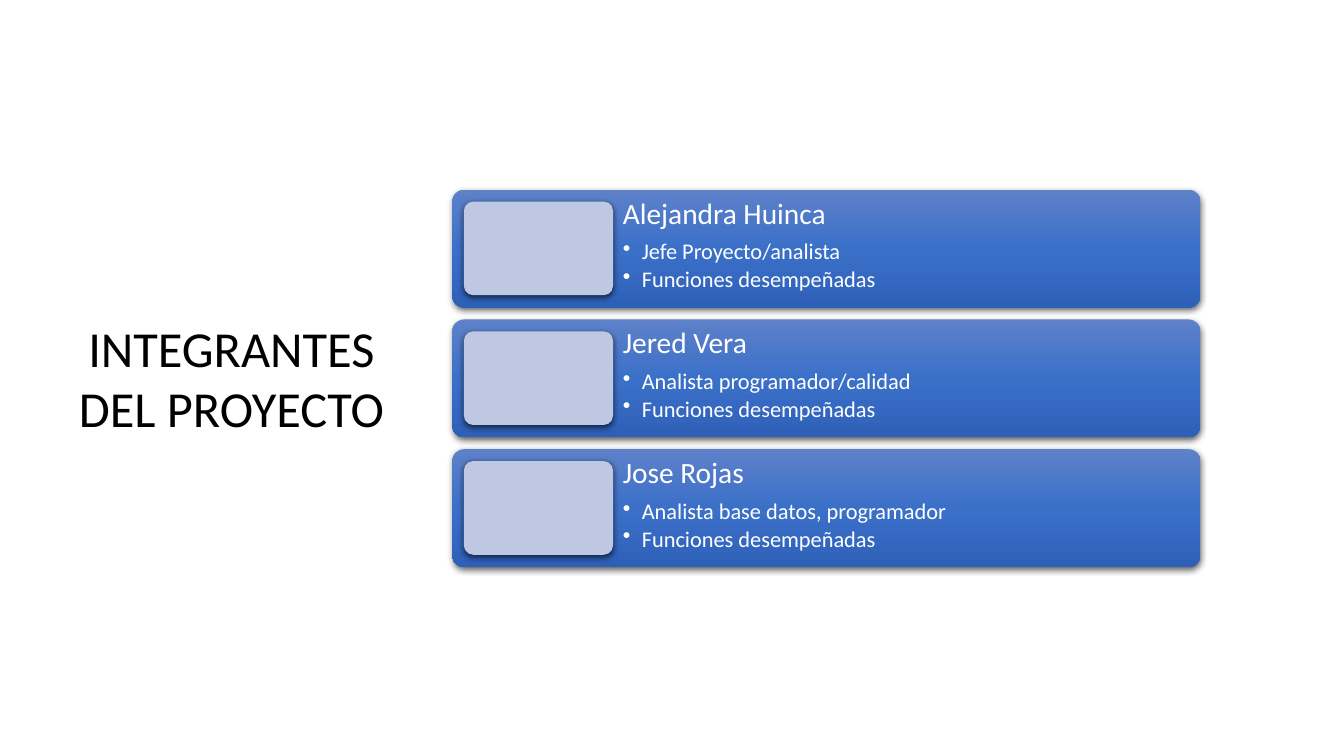
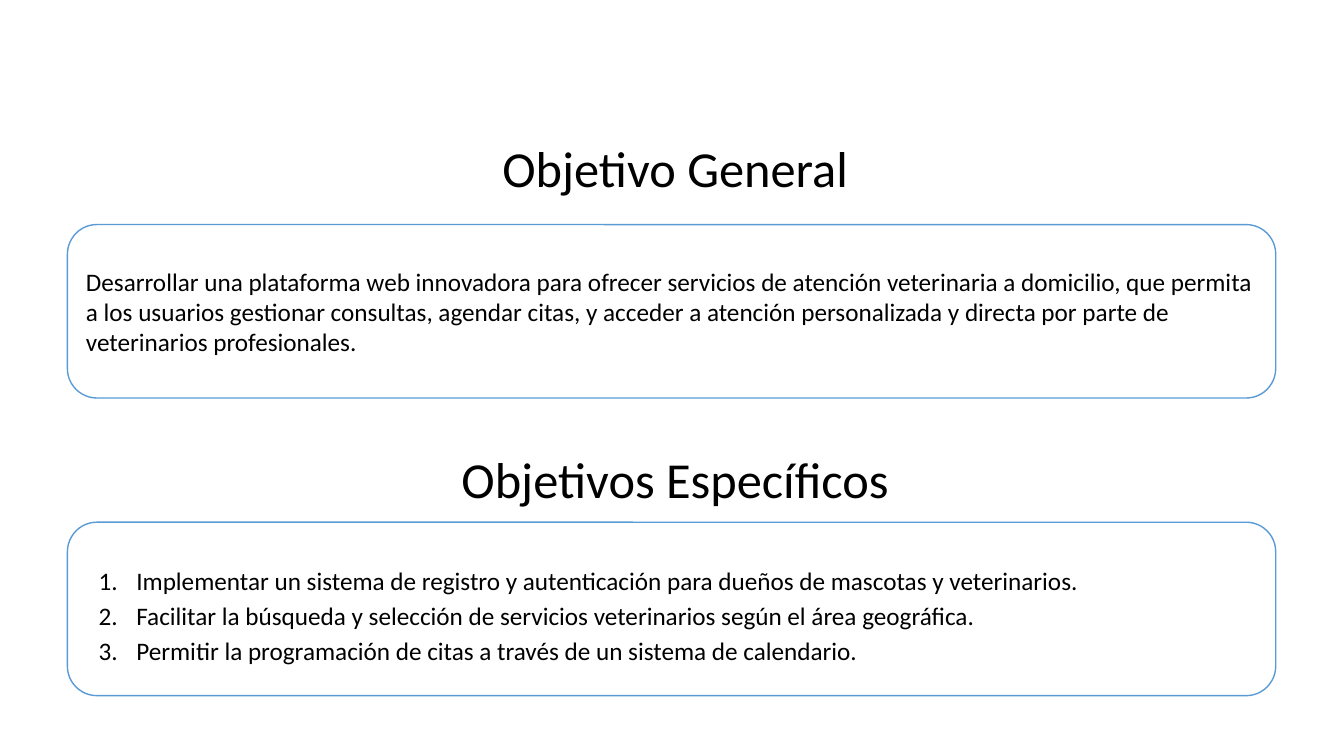
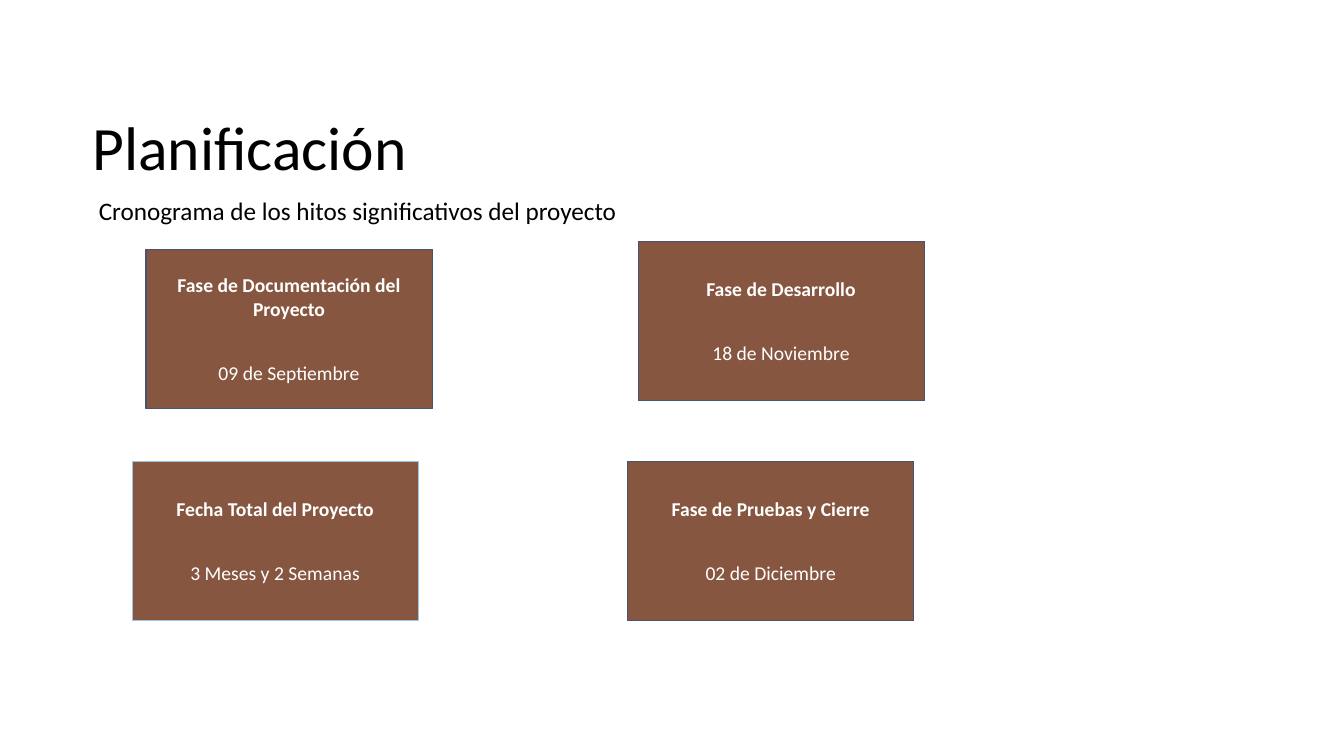
from lxml import etree
from pptx import Presentation
from pptx.dml.color import RGBColor
from pptx.enum.shapes import MSO_SHAPE
from pptx.enum.text import MSO_ANCHOR, PP_ALIGN
from pptx.oxml.ns import qn
from pptx.util import Cm, Pt

COLORS = {
    "ink": "000000",
    "paper": "FFFFFF",
    "card_top": "5E81C9",
    "card_middle": "3B70C9",
    "card_bottom": "2E60B8",
    "photo": "BFC8E3",
    "outline": "5B9BD5",
    "milestone": "865640",
    "milestone_edge": "44546A",
    "total_edge": "9FC5E8",
}
FONT = "Calibri"
INSETS = (0.25, 0.13, 0.25, 0.13)


def rgb(name):
    return RGBColor.from_string(COLORS[name])


def add_node(parent, tag, **attributes):
    node = etree.SubElement(parent, qn(tag))
    for key, value in attributes.items():
        node.set(key, str(value))
    return node


class Deck:
    def __init__(self):
        self.deck = Presentation()
        self.deck.slide_width, self.deck.slide_height = Cm(33.87), Cm(19.05)
        self.page = None

    def new_page(self):
        self.page = self.deck.slides.add_slide(self.deck.slide_layouts[6])

    def frame(self, box, insets=INSETS, anchor=MSO_ANCHOR.TOP):
        """Prepare the text frame of a box; insets are left, top, right, bottom."""
        frame = box.text_frame
        frame.word_wrap = True
        frame.vertical_anchor = anchor
        frame.margin_left, frame.margin_top, frame.margin_right, frame.margin_bottom = map(Cm, insets)
        return frame

    def add_para(self, frame, content, size, color="ink", align=PP_ALIGN.LEFT, bold=False,
                 spacing=None, before=0, after=0):
        """Fill the empty first paragraph of a frame, or add one more."""
        para = frame.paragraphs[0]
        if para.text:
            para = frame.add_paragraph()
        para.text = content
        para.alignment = align
        para.line_spacing = spacing
        para.space_before, para.space_after = Pt(before), Pt(after)
        font = para.font
        font.name, font.size, font.bold = FONT, Pt(size), bold
        font.color.rgb = rgb(color)
        return para

    def mark(self, para, indent, hanging, tag, **attributes):
        """Give a paragraph a bullet or a number with a hanging indent."""
        props = para._p.get_or_add_pPr()
        props.set("marL", str(Cm(indent)))
        props.set("indent", str(-Cm(hanging)))
        marker = etree.Element(qn(tag), attributes)
        props.insert_element_before(marker, "a:tabLst", "a:defRPr", "a:extLst")

    def label(self, left, top, width, height, content, size, align=PP_ALIGN.LEFT,
              anchor=MSO_ANCHOR.TOP, spacing=None):
        box = self.page.shapes.add_textbox(Cm(left), Cm(top), Cm(width), Cm(height))
        self.add_para(self.frame(box, anchor=anchor), content, size, align=align, spacing=spacing)

    def panel(self, kind, left, top, width, height, fill, line=None, line_width=1.0, rounding=None):
        box = self.page.shapes.add_shape(kind, Cm(left), Cm(top), Cm(width), Cm(height))
        box.shadow.inherit = False
        box.fill.solid()
        box.fill.fore_color.rgb = rgb(fill)
        if line:
            box.line.color.rgb = rgb(line)
            box.line.width = Pt(line_width)
        else:
            box.line.fill.background()
        if rounding is not None:
            box.adjustments[0] = rounding
        return box

    def raised(self, left, top, width, height, fill):
        """Rounded panel with a soft shadow below it."""
        box = self.panel(MSO_SHAPE.ROUNDED_RECTANGLE, left, top, width, height, fill, rounding=0.1)
        effects = box._element.spPr.find(qn("a:effectLst"))
        shadow = add_node(effects, "a:outerShdw", blurRad=Pt(4.5), dist=Pt(1.5),
                          dir=5400000, algn="ctr", rotWithShape=0)
        tint = add_node(shadow, "a:srgbClr", val=COLORS["ink"])
        add_node(tint, "a:alpha", val=63000)
        return box

    def shade(self, box, *names):
        """Fill a box with evenly spaced colours from top to bottom."""
        box.fill.gradient()
        box.fill.gradient_angle = 270
        stops = box._element.spPr.find(".//" + qn("a:gsLst"))
        for stop in list(stops):
            stops.remove(stop)
        for index, name in enumerate(names):
            stop = add_node(stops, "a:gs", pos=index * 100000 // (len(names) - 1))
            add_node(stop, "a:srgbClr", val=COLORS[name])

    def member(self, top, name, duties):
        card = self.raised(11.4, top, 18.85, 2.97, "card_middle")
        self.shade(card, "card_top", "card_middle", "card_bottom")
        frame = self.frame(card, insets=(4.21, 0.14, 0.14, 0.14))
        self.add_para(frame, name, 21, "paper", spacing=0.9)
        for index, duty in enumerate(duties):
            para = self.add_para(frame, duty, 16, "paper", spacing=0.9, before=2.4 if index else 7.3)
            self.mark(para, 0.48, 0.48, "a:buChar", char="•")
        self.raised(11.69, top + 0.3, 3.76, 2.36, "photo")

    def objective(self, top, heading, gap):
        """Centred heading above an outlined panel; returns the panel."""
        self.label(0.43, top, 33.17, 1.8, heading, 36, PP_ALIGN.CENTER)
        return self.panel(MSO_SHAPE.ROUNDED_RECTANGLE, 1.7, top + gap, 30.45, 4.37,
                          "paper", "outline", rounding=0.17)

    def milestone(self, left, top, phase, date, edge="milestone_edge"):
        box = self.panel(MSO_SHAPE.RECTANGLE, left, top, 7.21, 4.01, "milestone", edge, 0.75)
        frame = self.frame(box, (0.25,) * 4, MSO_ANCHOR.MIDDLE)
        self.add_para(frame, phase, 14, "paper", PP_ALIGN.CENTER, bold=True, after=29)
        self.add_para(frame, date, 14, "paper", PP_ALIGN.CENTER, after=6)


def build_team(deck):
    deck.new_page()
    deck.label(1.68, 7.85, 8.31, 3.33, "INTEGRANTES DEL PROYECTO", 36, PP_ALIGN.CENTER)
    members = [
        ("Alejandra Huinca", "Jefe Proyecto/analista"),
        ("Jered Vera", "Analista programador/calidad"),
        ("Jose Rojas", "Analista base datos, programador"),
    ]
    for index, (name, role) in enumerate(members):
        deck.member(4.78 + index * 3.27, name, [role, "Funciones desempeñadas"])


def build_objectives(deck):
    deck.new_page()
    general = deck.objective(3.33, "Objetivo General", 2.33)
    deck.add_para(
        deck.frame(general, anchor=MSO_ANCHOR.MIDDLE),
        "Desarrollar una plataforma web innovadora para ofrecer servicios de atención veterinaria "
        "a domicilio, que permita a los usuarios gestionar consultas, agendar citas, y acceder a "
        "atención personalizada y directa por parte de veterinarios profesionales.", 18)
    specific = deck.objective(11.15, "Objetivos Específicos", 2.01)
    frame = deck.frame(specific, (0.25, 0.35, 0.25, 0.13), MSO_ANCHOR.MIDDLE)
    for goal in (
        "Implementar un sistema de registro y autenticación para dueños de mascotas y veterinarios.",
        "Facilitar la búsqueda y selección de servicios veterinarios según el área geográfica.",
        "Permitir la programación de citas a través de un sistema de calendario.",
    ):
        para = deck.add_para(frame, goal, 18, spacing=1.15)
        deck.mark(para, 1.27, 0.95, "a:buAutoNum", type="arabicPeriod")


def build_plan(deck):
    deck.new_page()
    deck.label(2.08, 1.96, 29.21, 3.68, "Planificación", 44, anchor=MSO_ANCHOR.MIDDLE, spacing=0.9)
    deck.label(2.24, 4.8, 13.87, 1.02, "Cronograma de los hitos significativos del proyecto", 18)
    deck.milestone(3.68, 6.28, "Fase de Documentación del Proyecto", "09 de Septiembre")
    deck.milestone(16.08, 6.08, "Fase de Desarrollo", "18 de Noviembre")
    deck.milestone(15.82, 11.63, "Fase de Pruebas y Cierre", "02 de Diciembre")
    deck.milestone(3.33, 11.63, "Fecha Total del Proyecto", "3 Meses y 2 Semanas", "total_edge")


def main():
    deck = Deck()
    build_team(deck)
    build_objectives(deck)
    build_plan(deck)
    deck.deck.save("out.pptx")


if __name__ == "__main__":
    main()
